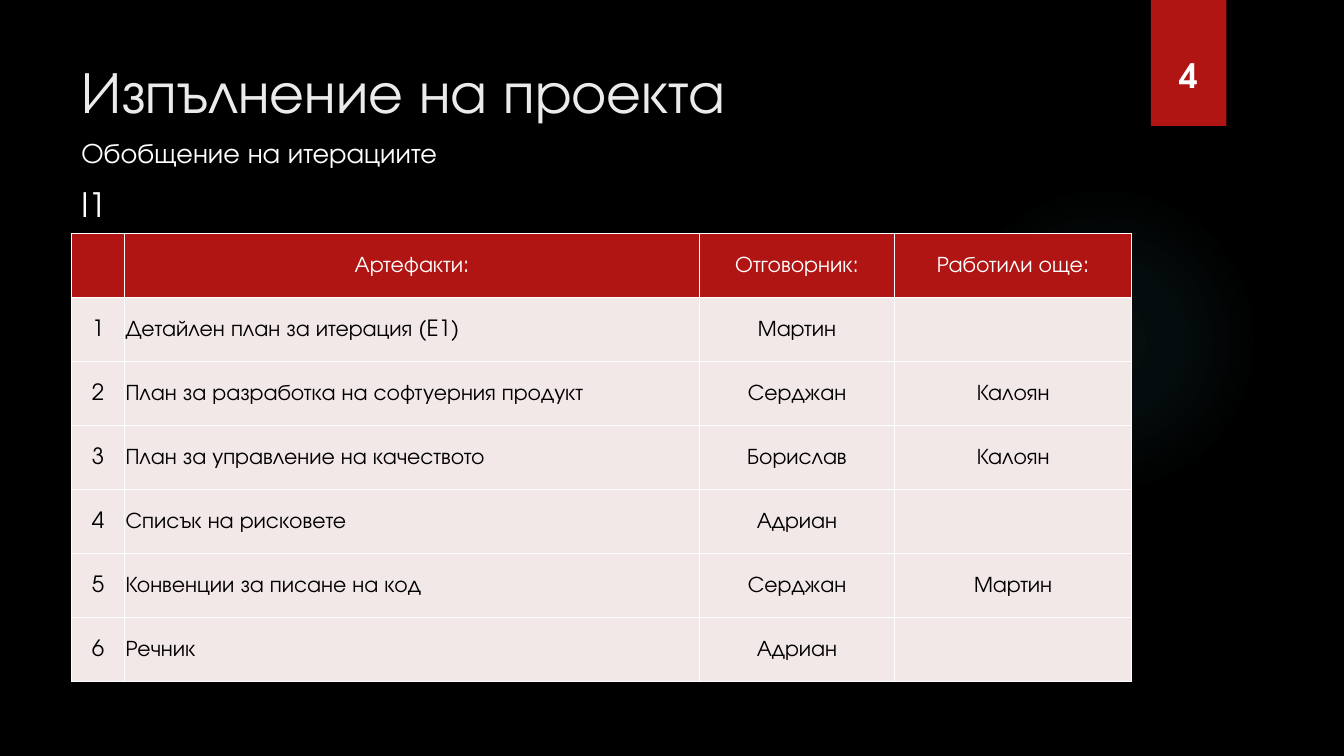
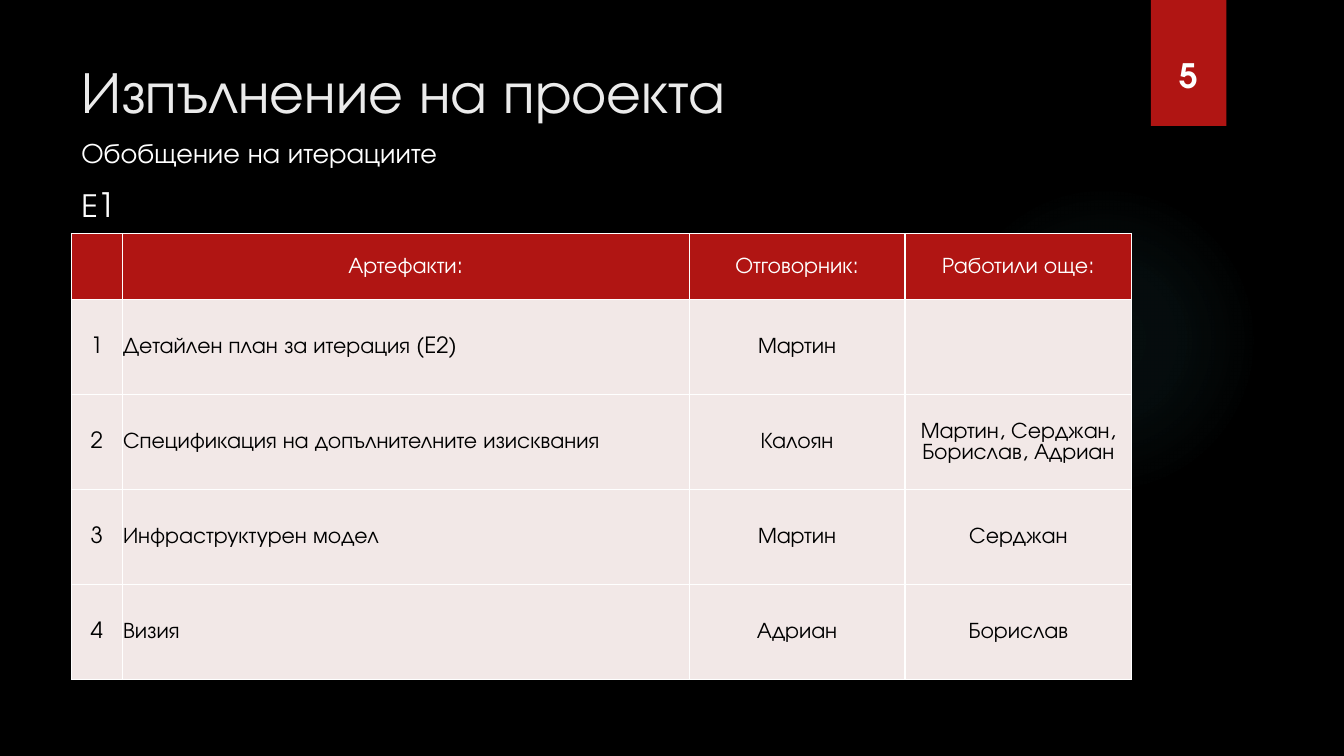
from lxml import etree
from pptx import Presentation
from pptx.dml.color import RGBColor
from pptx.enum import shapes, text
from pptx.oxml import parse_xml
from pptx.oxml.ns import nsdecls, qn
from pptx.util import Pt

FONT = "TeX Gyre Adventor"
BLACK, WHITE, TITLE_GREY = "000000", "FFFFFF", "EBEBEB"
RED, PALE_PINK, TEAL = "B01513", "F2E8E7", "50B9C1"
LEFT, CENTER = text.PP_ALIGN.LEFT, text.PP_ALIGN.CENTER
MARGIN = 51
BADGE_LEFT, BADGE_WIDTH = 822, 54

HEADINGS = ["", "Артефакти:", "Отговорник:", "Работили още:"]
ITERATIONS = [
    {
        "number": "4",
        "name": "I1",
        "columns": [38, 410.7, 139.3, 169.5],
        "heights": (45.7, 45.7),
        "rows": [
            ("Детайлен план за итерация (E1)", "Мартин", ""),
            ("План за разработка на софтуерния продукт", "Серджан", "Калоян"),
            ("План за управление на качеството", "Борислав", "Калоян"),
            ("Списък на рисковете", "Адриан", ""),
            ("Конвенции за писане на код", "Серджан", "Мартин"),
            ("Речник", "Адриан", ""),
        ],
    },
    {
        "number": "5",
        "name": "Е1",
        "columns": [36.3, 405, 154.2, 162],
        "heights": (47, 67.9),
        "rows": [
            ("Детайлен план за итерация (E2)", "Мартин", ""),
            ("Спецификация на допълнителните изисквания", "Калоян",
             "Мартин, Серджан, Борислав, Адриан"),
            ("Инфраструктурен модел", "Мартин", "Серджан"),
            ("Визия", "Адриан", "Борислав"),
        ],
    },
]


def color(value):
    return RGBColor.from_string(value)


def write(frame, content, size, font_color, alignment=LEFT, bold=False):
    """Put one formatted paragraph into a text frame."""
    frame.text = content
    frame.word_wrap = True
    paragraph = frame.paragraphs[0]
    paragraph.alignment = alignment
    for run in paragraph.runs:
        run.font.name = FONT
        run.font.size = Pt(size)
        run.font.bold = bold
        run.font.color.rgb = color(font_color)


presentation = Presentation()
presentation.slide_width, presentation.slide_height = Pt(960), Pt(540)

background = presentation.slide_master.background.fill
background.solid()
background.fore_color.rgb = color(BLACK)

# Shared layout: title position, glow and red badge
layout = presentation.slide_layouts.get_by_name("Title Only")
for placeholder in list(layout.placeholders):
    if placeholder.placeholder_format.type != shapes.PP_PLACEHOLDER.TITLE:
        placeholder.element.getparent().remove(placeholder.element)
        continue
    placeholder.left, placeholder.top = Pt(MARGIN), Pt(35.5)
    placeholder.width, placeholder.height = Pt(741), Pt(110)
    placeholder.text_frame.vertical_anchor = text.MSO_ANCHOR.TOP

slides = [presentation.slides.add_slide(layout) for _ in ITERATIONS]

glow = slides[0].shapes.add_shape(
    shapes.MSO_SHAPE.OVAL, Pt(677.5), Pt(131.8), Pt(221.8), Pt(221.8))
badge = slides[0].shapes.add_shape(
    shapes.MSO_SHAPE.RECTANGLE, Pt(BADGE_LEFT), 0, Pt(BADGE_WIDTH), Pt(90))
for shape in (glow, badge):
    shape.shadow.inherit = False
    shape.line.fill.background()
    layout.shapes.element.append(shape.element)

glow.fill.gradient()
stops = "".join(
    f'<a:gs pos="{position * 1000}"><a:srgbClr val="{TEAL}">'
    f'<a:alpha val="{alpha * 1000}"/></a:srgbClr></a:gs>'
    for position, alpha in [(0, 7), (36, 6), (69, 0), (100, 0)])
gradient = glow.element.spPr.find(qn("a:gradFill"))
gradient.getparent().replace(gradient, parse_xml(
    f'<a:gradFill {nsdecls("a")}><a:gsLst>{stops}</a:gsLst><a:path path="circle">'
    '<a:fillToRect l="50000" t="50000" r="50000" b="50000"/></a:path></a:gradFill>'))

badge.fill.solid()
badge.fill.fore_color.rgb = color(RED)
badge.element.spPr.find(qn("a:effectLst")).append(parse_xml(
    f'<a:outerShdw {nsdecls("a")} blurRad="{Pt(3)}" dist="{Pt(2)}" dir="5400000">'
    f'<a:srgbClr val="{BLACK}"><a:alpha val="45000"/></a:srgbClr></a:outerShdw>'))

for slide, iteration in zip(slides, ITERATIONS):
    write(slide.shapes.title.text_frame, "Изпълнение на проекта", 42, TITLE_GREY)

    for content, left, top, width, size, alignment, bold in [
        (iteration["number"], BADGE_LEFT, 36, BADGE_WIDTH, 24, CENTER, True),
        ("Обобщение на итерациите", MARGIN, 93.6, 410, 20, LEFT, False),
        (iteration["name"], MARGIN, 128, 410, 24, LEFT, False),
    ]:
        box = slide.shapes.add_textbox(Pt(left), Pt(top), Pt(width), Pt(size * 1.5))
        write(box.text_frame, content, size, WHITE, alignment, bold)

    rows = [HEADINGS]
    rows += [(str(index), *row) for index, row in enumerate(iteration["rows"], 1)]
    header_height, row_height = iteration["heights"]
    columns = iteration["columns"]
    table = slide.shapes.add_table(
        len(rows), len(columns), Pt(MARGIN), Pt(167), Pt(sum(columns)),
        Pt(header_height + row_height * (len(rows) - 1))).table
    table.horz_banding = False
    for column, width in zip(table.columns, columns):
        column.width = Pt(width)

    for row_index, row in enumerate(rows):
        is_header = row_index == 0
        table.rows[row_index].height = Pt(header_height if is_header else row_height)
        for column_index, content in enumerate(row):
            cell = table.cell(row_index, column_index)
            cell.fill.solid()
            cell.fill.fore_color.rgb = color(RED if is_header else PALE_PINK)
            cell.vertical_anchor = text.MSO_ANCHOR.MIDDLE
            cell.margin_left = cell.margin_right = cell.margin_top = Pt(0.7)
            cell.margin_bottom = 0
            alignment = LEFT if column_index == 1 and not is_header else CENTER
            write(cell.text_frame, content, 16, WHITE if is_header else BLACK, alignment)

            properties = cell._tc.get_or_add_tcPr()
            for position, side in enumerate(("lnL", "lnR", "lnT", "lnB")):
                border = etree.Element(qn(f"a:{side}"), w=str(Pt(1)))
                fill = etree.SubElement(border, qn("a:solidFill"))
                etree.SubElement(fill, qn("a:srgbClr"), val=WHITE)
                properties.insert(position, border)

presentation.save("out.pptx")
